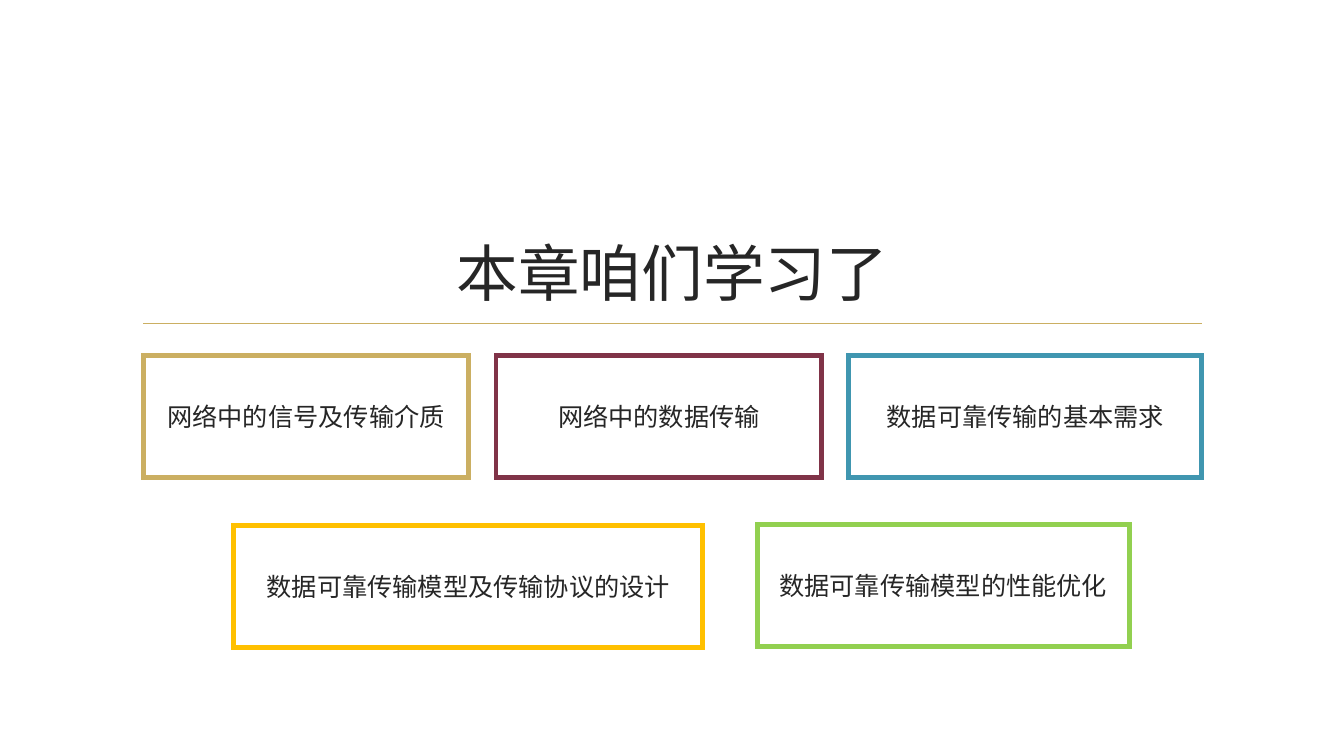
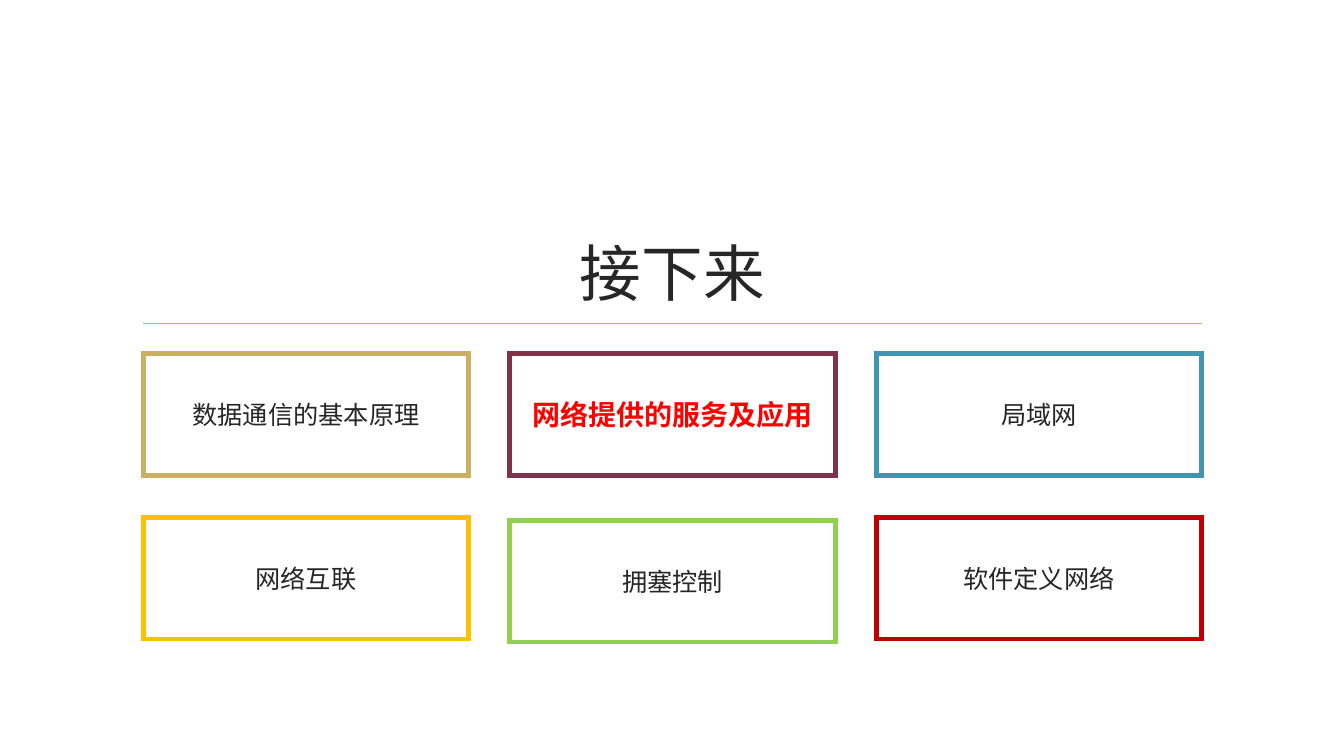
from collections import namedtuple

from lxml.etree import SubElement
from pptx import Presentation
from pptx.dml.color import RGBColor
from pptx.enum.shapes import MSO_CONNECTOR, MSO_SHAPE
from pptx.enum.text import MSO_ANCHOR, PP_ALIGN
from pptx.oxml.ns import qn
from pptx.util import Inches, Pt

FONT = "Noto Sans CJK SC"
INK = RGBColor(0x26, 0x26, 0x26)
HIGHLIGHT = RGBColor(0xFF, 0x00, 0x00)
GOLD = RGBColor(0xCB, 0xAF, 0x62)
WINE = RGBColor(0x80, 0x33, 0x48)
TEAL = RGBColor(0x40, 0x96, 0xB0)
AMBER = RGBColor(0xFF, 0xC0, 0x00)
GREEN = RGBColor(0x92, 0xD0, 0x50)
RED = RGBColor(0xC0, 0x00, 0x00)

SLIDE_WIDTH, SLIDE_HEIGHT = 13.33, 7.5
CONTENT_LEFT, CONTENT_WIDTH = 1.42, 10.5
TITLE_TOP, TITLE_HEIGHT, RULE_TOP = 1.07, 1.99, 3.21
CARD_WIDTH, CARD_HEIGHT = 3.23, 1.21
EVEN_GAP = (CONTENT_WIDTH - 3 * CARD_WIDTH) / 2

TITLE_FORMAT = {"size": Pt(44), "bold": False}
CARD_FORMAT = {"size": Pt(18), "bold": False}
CURRENT_FORMAT = {"size": Pt(20), "bold": True}

Card = namedtuple("Card", "text color width drop current", defaults=(CARD_WIDTH, 0, False))
Row = namedtuple("Row", "left top gap cards")

SLIDES = {
    "本章咱们学习了": [
        Row(CONTENT_LEFT, 3.53, 0.27, [
            Card("网络中的信号及传输介质", GOLD),
            Card("网络中的数据传输", WINE),
            Card("数据可靠传输的基本需求", TEAL, 3.5),
        ]),
        Row(2.32, 5.2, 0.54, [
            Card("数据可靠传输模型及传输协议的设计", AMBER, 4.65, 0.01),
            Card("数据可靠传输模型的性能优化", GREEN, 3.69),
        ]),
    ],
    "接下来": [
        Row(CONTENT_LEFT, 3.51, EVEN_GAP, [
            Card("数据通信的基本原理", GOLD),
            Card("网络提供的服务及应用", WINE, current=True),
            Card("局域网", TEAL),
        ]),
        Row(CONTENT_LEFT, 5.13, EVEN_GAP, [
            Card("网络互联", AMBER),
            Card("拥塞控制", GREEN, drop=0.03),
            Card("软件定义网络", RED),
        ]),
    ],
}


def write_text(shape, text, font_format, color, anchor):
    frame = shape.text_frame
    frame.word_wrap = True
    frame.vertical_anchor = anchor
    paragraph = frame.paragraphs[0]
    paragraph.alignment = PP_ALIGN.CENTER
    run = paragraph.add_run()
    run.text = text
    for name, value in font_format.items():
        setattr(run.font, name, value)
    run.font.color.rgb = color
    run.font.name = FONT
    east_asian = SubElement(run.font._element, qn("a:ea"))
    east_asian.set("typeface", FONT)


def add_heading(slide, text):
    rule = slide.shapes.add_connector(
        MSO_CONNECTOR.STRAIGHT,
        Inches(CONTENT_LEFT), Inches(RULE_TOP),
        Inches(CONTENT_LEFT + CONTENT_WIDTH), Inches(RULE_TOP),
    )
    rule.line.color.rgb = GOLD
    rule.line.width = Pt(1.25)
    SubElement(rule._element.spPr, qn("a:effectLst"))
    title = slide.shapes.add_textbox(
        Inches(CONTENT_LEFT), Inches(TITLE_TOP), Inches(CONTENT_WIDTH), Inches(TITLE_HEIGHT)
    )
    title.text_frame.margin_bottom = 0
    write_text(title, text, TITLE_FORMAT, INK, MSO_ANCHOR.BOTTOM)


def add_card(slide, card, left, top):
    shape = slide.shapes.add_shape(
        MSO_SHAPE.RECTANGLE,
        Inches(left), Inches(top), Inches(card.width), Inches(CARD_HEIGHT),
    )
    shape.shadow.inherit = False
    shape.fill.background()
    shape.line.color.rgb = card.color
    shape.line.width = Pt(3.5)
    SubElement(shape.line._get_or_add_ln(), qn("a:miter")).set("lim", "800000")
    font_format = CURRENT_FORMAT if card.current else CARD_FORMAT
    color = HIGHLIGHT if card.current else INK
    write_text(shape, card.text, font_format, color, MSO_ANCHOR.MIDDLE)


def add_row(slide, row):
    left = row.left
    for card in row.cards:
        add_card(slide, card, left, row.top + card.drop)
        left += card.width + row.gap


def main():
    presentation = Presentation()
    presentation.slide_width = Inches(SLIDE_WIDTH)
    presentation.slide_height = Inches(SLIDE_HEIGHT)
    for title, rows in SLIDES.items():
        slide = presentation.slides.add_slide(presentation.slide_layouts[6])
        add_heading(slide, title)
        for row in rows:
            add_row(slide, row)
    presentation.save("out.pptx")


if __name__ == "__main__":
    main()
